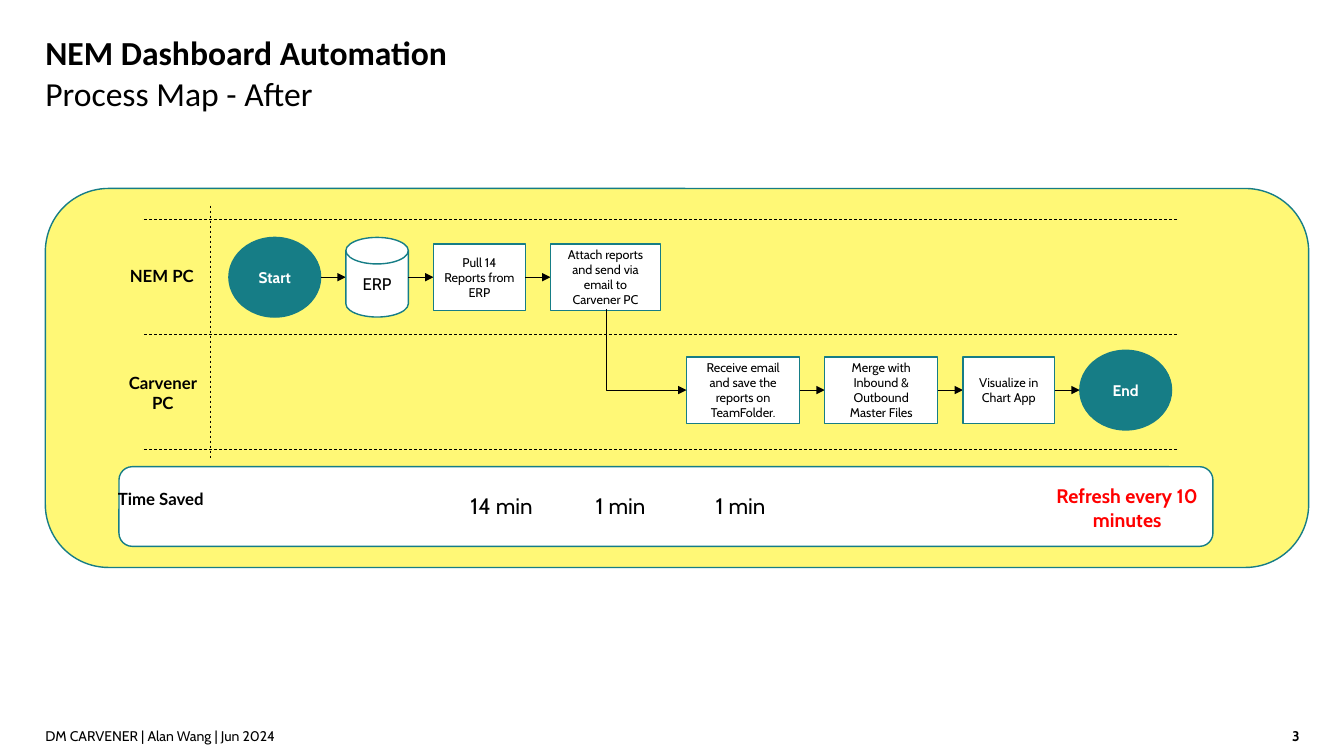
from lxml.etree import SubElement
from pptx import Presentation
from pptx.dml.color import RGBColor
from pptx.enum.dml import MSO_LINE
from pptx.enum.shapes import MSO_CONNECTOR, MSO_SHAPE
from pptx.enum.text import MSO_ANCHOR, PP_ALIGN
from pptx.oxml.ns import qn
from pptx.util import Inches, Pt

BLACK = RGBColor(0x00, 0x00, 0x00)
WHITE = RGBColor(0xFF, 0xFF, 0xFF)
RED = RGBColor(0xFF, 0x00, 0x00)
TEAL = RGBColor(0x16, 0x7D, 0x86)
YELLOW = RGBColor(0xFF, 0xF8, 0x76)

STEP_GAP = 0.25
STEP_HEIGHT = 0.66
ROUND_HEIGHT = 0.79
TOP_LANE_MIDDLE = 2.75
BOTTOM_LANE_MIDDLE = 3.87


def add_run(paragraph, text, size, font="Cabin", color=BLACK, bold=False):
    run = paragraph.add_run()
    run.text = text
    run.font.name = font
    run.font.size = Pt(size)
    run.font.bold = bold
    run.font.color.rgb = color


def add_text(slide, left, top, width, height, align=PP_ALIGN.LEFT, anchor=MSO_ANCHOR.TOP):
    """Add a text box without margins and return its first paragraph."""
    box = slide.shapes.add_textbox(Inches(left), Inches(top), Inches(width), Inches(height))
    frame = box.text_frame
    frame.word_wrap = True
    frame.vertical_anchor = anchor
    frame.margin_left = frame.margin_right = frame.margin_top = frame.margin_bottom = 0
    paragraph = frame.paragraphs[0]
    paragraph.alignment = align
    return paragraph


def add_box(slide, kind, left, top, width, height, fill=None, line=TEAL,
            text="", size=9, color=BLACK, bold=False):
    shape = slide.shapes.add_shape(kind, Inches(left), Inches(top), Inches(width), Inches(height))
    shape.shadow.inherit = False
    if fill is None:
        shape.fill.background()
    else:
        shape.fill.solid()
        shape.fill.fore_color.rgb = fill
    if line is None:
        shape.line.fill.background()
    else:
        shape.line.color.rgb = line
        shape.line.width = Pt(1)
    if text:
        shape.text_frame.word_wrap = True
        shape.text_frame.vertical_anchor = MSO_ANCHOR.MIDDLE
        paragraph = shape.text_frame.paragraphs[0]
        paragraph.alignment = PP_ALIGN.CENTER
        add_run(paragraph, text, size, color=color, bold=bold)
    return shape


def add_line(slide, x1, y1, x2, y2, arrow=False, kind=MSO_CONNECTOR.STRAIGHT):
    """Add a thin line: dashed for a lane border, with a head for an arrow."""
    connector = slide.shapes.add_connector(kind, Inches(x1), Inches(y1), Inches(x2), Inches(y2))
    connector.line.color.rgb = BLACK
    connector.line.width = Pt(0.5)
    if arrow:
        SubElement(connector.line._get_or_add_ln(), qn("a:tailEnd"), type="triangle")
    else:
        connector.line.dash_style = MSO_LINE.DASH
    SubElement(connector._element.spPr, qn("a:effectLst"))
    return connector


def add_corner_arrow(slide, x1, y1, x2, y2):
    """Add an arrow that runs down first and then to the right."""
    connector = add_line(slide, x1, y1, x2, y2, arrow=True, kind=MSO_CONNECTOR.ELBOW)
    properties = connector._element.spPr
    properties.find(qn("a:prstGeom")).set("prst", "bentConnector2")
    transform = properties.find(qn("a:xfrm"))
    transform.set("rot", str(270 * 60000))
    transform.set("flipH", "1")


def add_step_chain(slide, left, middle, steps):
    """Place steps from left to right, joined by arrows of equal length."""
    for index, (kind, width, text) in enumerate(steps):
        if index:
            add_line(slide, left - STEP_GAP, middle, left, middle, arrow=True)
        height = STEP_HEIGHT if kind == MSO_SHAPE.RECTANGLE else ROUND_HEIGHT
        style = {"fill": WHITE}
        if kind == MSO_SHAPE.OVAL:
            style = {"fill": TEAL, "size": 11, "color": WHITE, "bold": True}
        elif kind == MSO_SHAPE.FLOWCHART_MAGNETIC_DISK:
            style = {"fill": WHITE, "size": 12}
        add_box(slide, kind, left, middle - height / 2, width, height, text=text, **style)
        left += width + STEP_GAP


def add_row_label(slide, left, top, text):
    paragraph = add_text(slide, left, top, 0.87, 0.4, PP_ALIGN.CENTER)
    add_run(paragraph, text, 12, font="Lato", bold=True)


def main():
    presentation = Presentation()
    presentation.slide_width = Inches(13.33)
    presentation.slide_height = Inches(7.5)
    slide = presentation.slides.add_slide(presentation.slide_layouts[6])

    # Title and footer
    title = add_text(slide, 0.45, 0.32, 9.61, 0.91)
    add_run(title, "NEM Dashboard Automation", 24, font="Calibri", bold=True)
    title.add_line_break()
    add_run(title, "Process Map - After", 24, font="Calibri")
    footer = add_text(slide, 0.45, 7.14, 11.57, 0.24, anchor=MSO_ANCHOR.BOTTOM)
    add_run(footer, "DM CARVENER | Alan Wang | Jun 2024", 10)
    number = add_text(slide, 12.3, 7.14, 0.59, 0.24, PP_ALIGN.RIGHT, MSO_ANCHOR.BOTTOM)
    add_run(number, "3", 10, bold=True)

    # Panel and lane borders
    add_box(slide, MSO_SHAPE.ROUNDED_RECTANGLE, 0.45, 1.87, 12.53, 3.76, fill=YELLOW)
    for border in (2.18, 3.32, 4.46):
        add_line(slide, 1.43, border, 11.67, border)
    add_line(slide, 2.09, 2.04, 2.09, 4.55)

    # Process steps
    add_step_chain(slide, 2.27, TOP_LANE_MIDDLE, [
        (MSO_SHAPE.OVAL, 0.91, "Start"),
        (MSO_SHAPE.FLOWCHART_MAGNETIC_DISK, 0.62, "ERP"),
        (MSO_SHAPE.RECTANGLE, 0.91, "Pull 14 Reports from ERP"),
        (MSO_SHAPE.RECTANGLE, 1.09, "Attach reports and send via email to Carvener PC"),
    ])
    add_step_chain(slide, 6.81, BOTTOM_LANE_MIDDLE, [
        (MSO_SHAPE.RECTANGLE, 1.12, "Receive email and save the reports on TeamFolder."),
        (MSO_SHAPE.RECTANGLE, 1.12, "Merge with Inbound & Outbound Master Files"),
        (MSO_SHAPE.RECTANGLE, 0.91, "Visualize in Chart App"),
        (MSO_SHAPE.OVAL, 0.91, "End"),
    ])
    add_corner_arrow(slide, 6.01, 3.07, 6.81, BOTTOM_LANE_MIDDLE)

    # Time saved
    add_box(slide, MSO_SHAPE.ROUNDED_RECTANGLE, 1.18, 4.63, 10.85, 0.79, fill=WHITE)
    for left, text in ((4.44, "14 min"), (5.62, "1 min"), (6.81, "1 min")):
        add_box(slide, MSO_SHAPE.ROUNDED_RECTANGLE, left, 4.69, 1.07, 0.65,
                line=None, text=text, size=16)
    add_box(slide, MSO_SHAPE.ROUNDED_RECTANGLE, 10.27, 4.71, 1.82, 0.65, line=None,
            text="Refresh every 10 minutes", size=14, color=RED, bold=True)

    # Row labels
    add_row_label(slide, 1.17, 2.64, "NEM PC")
    add_row_label(slide, 1.18, 3.7, "Carvener PC")
    add_row_label(slide, 1.16, 4.85, "Time Saved")

    presentation.save("out.pptx")


if __name__ == "__main__":
    main()
